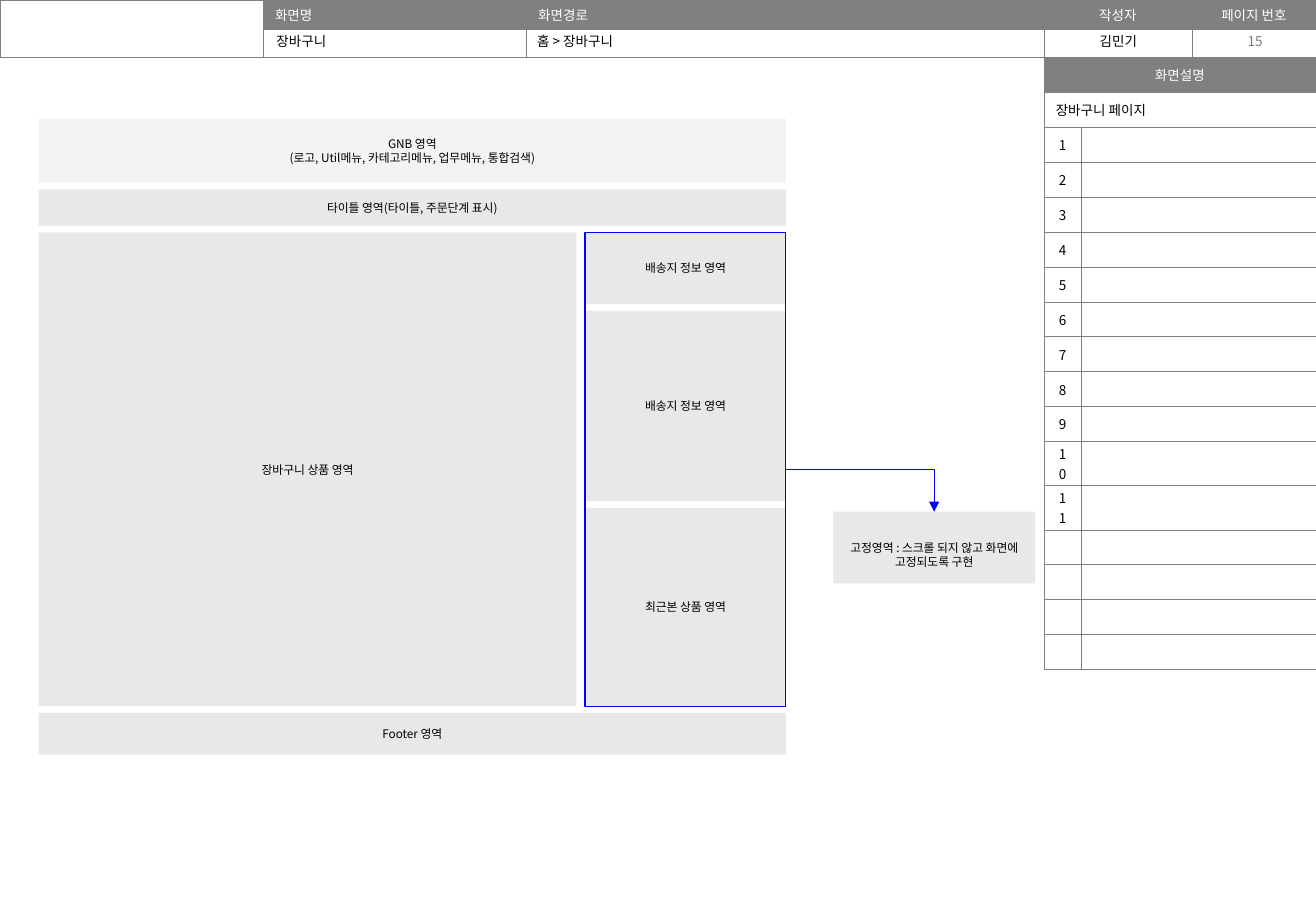
"""Builds the cart page screen layout slide."""
from lxml import etree
from pptx import Presentation
from pptx.dml.color import RGBColor
from pptx.enum import shapes, text
from pptx.oxml import ns
from pptx.util import Cm, Pt

FONT = "Noto Sans CJK KR"
BLACK = RGBColor(0, 0, 0)
WHITE = RGBColor(255, 255, 255)
GRAY = RGBColor(0x80, 0x80, 0x80)
DIM = RGBColor(0x79, 0x79, 0x79)
PALE = RGBColor(0xF3, 0xF3, 0xF3)
LIGHT = RGBColor(0xE8, 0xE8, 0xE8)
BLUE = RGBColor(0, 0, 255)
LEFT, MID = text.PP_ALIGN.LEFT, text.PP_ALIGN.CENTER

HEADS = [("", LEFT), ("화면명", LEFT), ("화면경로", LEFT),
         ("작성자", MID), ("페이지 번호", MID)]
HEAD_COLS = [5.5, 5.5, 10.82, 3.1, 2.59]
NOTES = ["화면설명", "장바구니 페이지"] + [str(n) for n in range(1, 12)] + [""] * 4
NOTE_COLS = [0.79, 4.9]
TITLE = ("장바구니", 5.53, 5.46, LEFT, BLACK)
LABELS = [("홈 > 장바구니", 10.98, 5.46, LEFT, BLACK),
          ("김민기", 21.82, 3.12, MID, BLACK),
          ("15", 24.97, 2.54, MID, DIM)]
ROWS = [("GNB 영역\n(로고, Util메뉴, 카테고리메뉴, 업무메뉴, 통합검색)", 1.34, 15.62, PALE),
        ("타이틀 영역(타이틀, 주문단계 표시)", 0.76, 15.62, LIGHT),
        ("장바구니 상품 영역", 9.91, 11.24, LIGHT),
        ("Footer 영역", 0.87, 15.62, LIGHT)]
SIDES = [("배송지 정보 영역", 1.5), ("배송지 정보 영역", 3.98), ("최근본 상품 영역", 4.15)]
CALL = "고정영역 : 스크롤 되지 않고 화면에 고정되도록 구현"
X, Y, GAP = 0.81, 2.48, 0.14
SIDE_X, SIDE_Y, SIDE_W = 12.23, 4.86, 4.2


def style(frame, size, color, align):
    for para in frame.paragraphs:
        para.alignment = align
        font = para.font
        font.size, font.name = Pt(size), FONT
        etree.SubElement(font._rPr, ns.qn("a:ea"), typeface=FONT)
        font.color.rgb = color
        if not para.runs:
            para._p.get_or_add_endParaRPr().set("sz", str(size * 100))


def inset(frame, side, top, base):
    frame.margin_left = frame.margin_right = Cm(side)
    frame.margin_top, frame.margin_bottom = Cm(top), Cm(base)


def edge(cell):
    props = cell._tc.get_or_add_tcPr()
    for i, tag in enumerate(("lnL", "lnR", "lnT", "lnB")):
        line = etree.Element(ns.qn("a:" + tag), w=str(Pt(0.25)))
        fill = etree.SubElement(line, ns.qn("a:solidFill"))
        etree.SubElement(fill, ns.qn("a:srgbClr"), val=str(GRAY))
        props.insert(i, line)


def grid(slide, x, y, cols, count, high):
    table = slide.shapes.add_table(count, len(cols), Cm(x), Cm(y),
                                   Cm(sum(cols)), Cm(high * count)).table
    table.first_row = table.horz_banding = False
    for col, width in zip(table.columns, cols):
        col.width = Cm(width)
    for row in table.rows:
        row.height = Cm(high)
    return table


def put(cell, words, align, dark):
    cell.text = words
    cell.vertical_anchor = text.MSO_ANCHOR.MIDDLE
    inset(cell, 0.25, 0.05, 0.05)
    style(cell.text_frame, 8, WHITE if dark else BLACK, align)
    if dark:
        cell.fill.solid()
        cell.fill.fore_color.rgb = GRAY
    else:
        cell.fill.background()
    edge(cell)


def label(shape, words, x, width, align, color):
    shape.left, shape.top = Cm(x), Cm(0.56)
    shape.width, shape.height = Cm(width), Cm(0.61)
    frame = shape.text_frame
    frame.text, frame.word_wrap = words, True
    frame.auto_size = text.MSO_AUTO_SIZE.NONE
    frame.vertical_anchor = text.MSO_ANCHOR.TOP
    inset(frame, 0.25, 0.13, 0.13)
    style(frame, 8, color, align)


def box(slide, words, x, y, width, high, fill=LIGHT, side=0.25, top=0.25, base=0.25):
    shape = slide.shapes.add_shape(shapes.MSO_SHAPE.RECTANGLE,
                                   Cm(x), Cm(y), Cm(width), Cm(high))
    shape.shadow.inherit = False
    shape.line.fill.background()
    if fill is None:
        shape.fill.background()
    else:
        shape.fill.solid()
        shape.fill.fore_color.rgb = fill
    if words:
        frame = shape.text_frame
        frame.text, frame.word_wrap = words, True
        frame.vertical_anchor = text.MSO_ANCHOR.MIDDLE
        inset(frame, side, top, base)
        style(frame, 7, BLACK, MID)
    return shape


def arrow(slide, start, end):
    link = slide.shapes.add_connector(shapes.MSO_CONNECTOR.ELBOW, 0, 0, 0, 0)
    link.begin_connect(start, 3)
    link.end_connect(end, 0)
    link.line.color.rgb, link.line.width = BLUE, Pt(0.75)
    props = link._element.spPr
    props.find(ns.qn("a:prstGeom")).set("prst", "bentConnector2")
    etree.SubElement(link.line._get_or_add_ln(), ns.qn("a:tailEnd"), type="triangle")
    etree.SubElement(props, ns.qn("a:effectLst"))


def main():
    deck = Presentation()
    deck.slide_width, deck.slide_height = Cm(27.51), Cm(19.05)
    slide = deck.slides.add_slide(deck.slide_layouts[5])

    head = grid(slide, 0, 0, HEAD_COLS, 2, 0.6)
    for i, (words, align) in enumerate(HEADS):
        put(head.cell(0, i), words, align, bool(words))
        put(head.cell(1, i), "", align, False)
    head.cell(0, 0).merge(head.cell(1, 0))

    label(slide.shapes.title, *TITLE)
    for item in LABELS:
        label(slide.shapes.add_textbox(0, 0, 0, 0), *item)

    notes = grid(slide, 21.82, 1.2, NOTE_COLS, len(NOTES), 0.73)
    for i, words in enumerate(NOTES):
        put(notes.cell(i, 0), words, LEFT if i == 1 else MID, i == 0)
        put(notes.cell(i, 1), "", LEFT, i == 0)
        if i < 2:
            notes.cell(i, 0).merge(notes.cell(i, 1))

    y = Y
    for words, high, width, fill in ROWS:
        box(slide, words, X, y, width, high, fill)
        y += high + GAP
    y = SIDE_Y
    for words, high in SIDES:
        box(slide, words, SIDE_X, y, SIDE_W, high)
        y += high + GAP

    call = box(slide, CALL, 17.42, 10.7, 4.22, 1.5, side=0, top=0.29, base=0)
    fixed = box(slide, "", SIDE_X, SIDE_Y, SIDE_W, y - GAP - SIDE_Y, None)
    fixed.line.color.rgb, fixed.line.width = BLUE, Pt(0.75)
    arrow(slide, fixed, call)
    deck.save("out.pptx")


if __name__ == "__main__":
    main()
